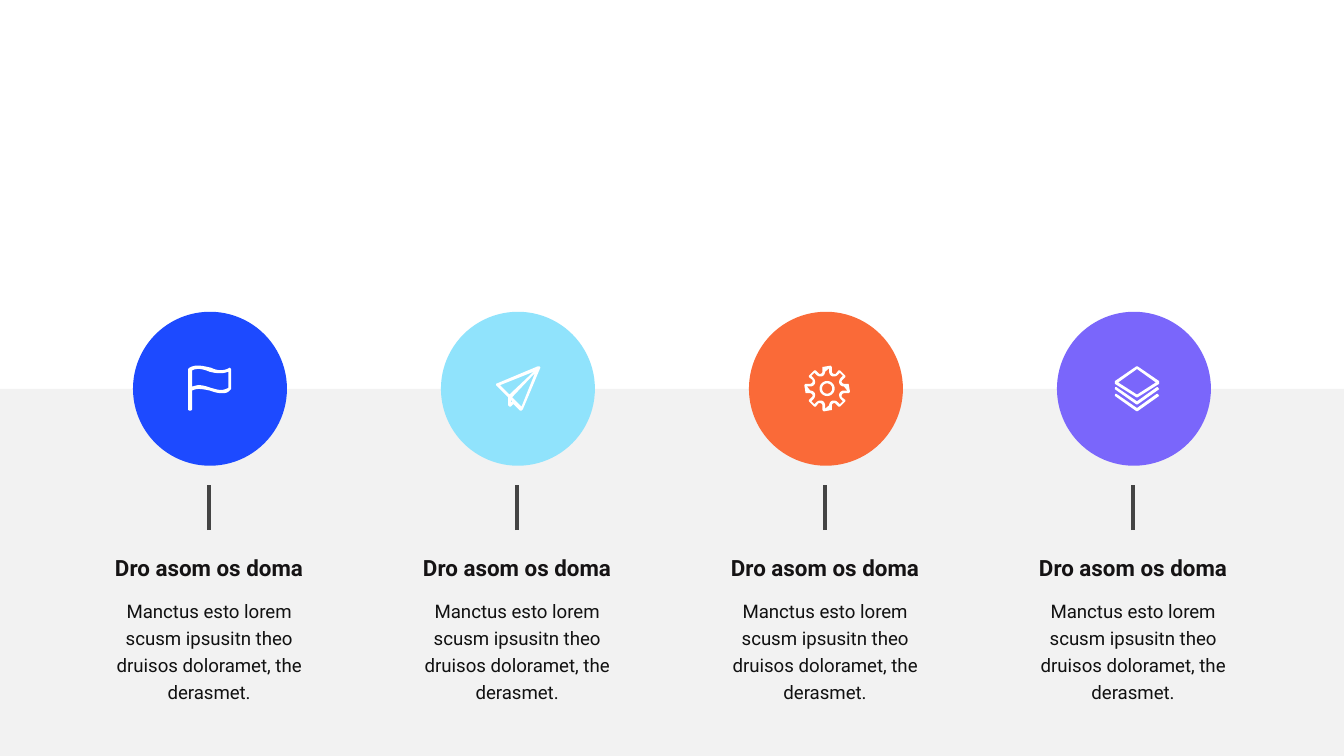
import math
import pptx
import pptx.dml.color
import pptx.enum.shapes
import pptx.enum.text
import pptx.oxml
import pptx.util

Pt = pptx.util.Pt

# Content
HEAD = "Dro asom os doma"
BODY = "Manctus esto lorem scusm ipsusitn theo druisos doloramet, the derasmet."

# Icon outlines: a pair is a corner, six numbers are a cubic curve
FLAG = [
    [(31, 1), (26, 4, 21, 3, 17, 1), (12, 0, 6, -2, 1, 1), (0, 2), (0, 32),
     (0, 33.3, 3, 33.3, 3, 32), (3, 18), (7, 16, 11, 17, 16, 18),
     (19, 19, 22, 20, 25, 20), (27, 20, 29, 20, 31, 18), (32, 17), (32, 2)],
    [(30, 16), (25, 19, 21, 17, 17, 16), (14, 15, 11, 14, 8, 14),
     (6, 14, 4, 15, 3, 15), (3, 3), (7, 1, 11, 2, 16, 4), (20, 5, 25, 6, 30, 4)],
]
PLANE = [
    [(33, 1), (32.5, 0), (31, 0), (0, 13), (0, 14), (9, 23), (9, 29), (10, 30),
     (11, 30), (13, 28), (18, 33), (19, 33), (20, 32)],
    [(28, 4), (10, 21), (3, 14)],
    [(11, 27), (11, 25), (12, 26)],
    [(19, 30), (12, 23), (29, 5)],
]
# One quarter of the gear, about its centre
RIM = [(2.5, -17), (3.5, -16), (3.5, -12.5), (3.5, -12, 4, -11.3, 4.5, -11),
       (5.2, -10.7, 6, -10.7, 6.5, -11), (8.5, -13.5), (9.5, -13.5),
       (13.5, -9.5), (13.5, -8.5), (11.5, -6.5), (10.7, -6, 10.7, -5, 11, -4.5),
       (11.3, -4, 12, -3.5, 12.5, -3.5), (16, -3.5)]
BORE = [(1.5, -15), (1.5, -12.5), (1.5, -11, 2.5, -9.7, 3.5, -9.2),
        (5, -8.7, 6.5, -9, 7.5, -9.8), (9.5, -11.7), (11.7, -9.5),
        (9.8, -7.5), (9, -6.5, 8.7, -5, 9.2, -3.5),
        (9.7, -2.5, 11, -1.5, 12.5, -1.5)]


def turn(part):
    """Repeat a quarter outline four times about the gear centre."""
    out = []
    for _ in range(4):
        out += part
        part = [tuple(v for x, y in zip(p[::2], p[1::2]) for v in (-y, x)) for p in part]
    return [tuple(v + 16.5 for v in p) for p in out]


def ring(r):
    return [(16.5 + r * math.cos(a * math.pi / 16),
             16.5 + r * math.sin(a * math.pi / 16)) for a in range(32)]


def fold(y):
    return [(32, y), (31.2, y), (16.5, y + 10.5), (1.2, y), (0.2, y),
            (0, y + 1.5), (16, y + 12.8), (17, y + 12.8), (33, y + 1.5)]


GEAR = [turn(RIM), turn(BORE), ring(5.6), ring(3.8)]
STACK = [[(16, 0), (0, 11), (0, 13), (16, 23), (17, 23), (33, 13), (33, 11), (17, 0)],
         [(16.5, 2), (30.5, 12), (16.5, 21), (2.5, 12)], fold(15.5), fold(20.5)]

# Circle colour, icon, icon inset from the circle's left edge
STEPS = [("1D4AFF", FLAG, 29.5), ("90E3FC", PLANE, 29.5),
         ("FA6A38", GEAR, 30), ("7A66FB", STACK, 31)]

# Layout in points
WIDE, HIGH = 720, 405
HORIZON, SIZE = 208.3, 82.5
FIRST, PITCH = 112, 165
TEXT = 112.5


def tint(code):
    return pptx.dml.color.RGBColor.from_string(code)


def paint(shape, code):
    shape.shadow.inherit = False
    shape.fill.solid()
    shape.fill.fore_color.rgb = tint(code)
    shape.line.fill.background()


def trace(path):
    """Turn corners and curves into points in EMU."""
    out = []
    for p in path:
        if len(p) == 2:
            out.append(p)
            continue
        a, b, c, d = out[-1], p[:2], p[2:4], p[4:]
        for k in range(1, 9):
            t = k / 8
            u = 1 - t
            out.append(tuple(u**3 * a[i] + 3 * u * u * t * b[i]
                             + 3 * u * t * t * c[i] + t**3 * d[i] for i in (0, 1)))
    return [(Pt(0.72 * x), Pt(0.72 * y)) for x, y in out]


def draw(icon, left, top):
    first, *rest = [trace(path) for path in icon]
    pen = shapes.build_freeform(*first[0])
    pen.add_line_segments(first[1:])
    for path in rest:
        pen.move_to(*path[0])
        pen.add_line_segments(path[1:])
    paint(pen.convert_to_shape(Pt(left), Pt(top)), "FFFFFF")


def write(text, mid, top, high, size, code, gap, bold=False):
    box = shapes.add_textbox(Pt(mid - TEXT / 2), Pt(top), Pt(TEXT), Pt(high))
    frame = box.text_frame
    frame.word_wrap = True
    frame.margin_left = frame.margin_right = Pt(3.6)
    frame.margin_top = frame.margin_bottom = Pt(3.6)
    frame.text = text
    para = frame.paragraphs[0]
    para.alignment = pptx.enum.text.PP_ALIGN.CENTER
    para.line_spacing = gap
    font = para.runs[0].font
    font.name, font.size, font.bold = "Roboto", Pt(size), bold
    font.color.rgb = tint(code)


deck = pptx.Presentation()
deck.slide_width, deck.slide_height = Pt(WIDE), Pt(HIGH)
shapes = deck.slides.add_slide(deck.slide_layouts[6]).shapes
kind = pptx.enum.shapes.MSO_SHAPE

# Grey lower band
band = shapes.add_shape(kind.RECTANGLE, 0, Pt(HORIZON), Pt(WIDE), Pt(HIGH - HORIZON))
paint(band, "F2F2F2")

# Four columns
for n, (code, icon, inset) in enumerate(STEPS):
    mid = FIRST + n * PITCH
    left = mid + 0.5 - SIZE / 2
    disc = shapes.add_shape(kind.OVAL, Pt(left), Pt(HORIZON - SIZE / 2), Pt(SIZE), Pt(SIZE))
    paint(disc, code)
    draw(icon, left + inset, HORIZON - 12)

    stem = shapes.add_connector(pptx.enum.shapes.MSO_CONNECTOR.STRAIGHT,
                                Pt(mid), Pt(284), Pt(mid), Pt(260))
    stem.line.color.rgb = tint("444444")
    stem.line.width = Pt(2)
    look = stem._element.spPr
    look.append(look.makeelement(pptx.oxml.ns.qn("a:effectLst"), {}))

    write(HEAD, mid, 291.8, 18, 12, "151314", 1.1, True)
    write(BODY, mid, 315.5, 68.5, 10, "111111", 1.2)

deck.save("out.pptx")
